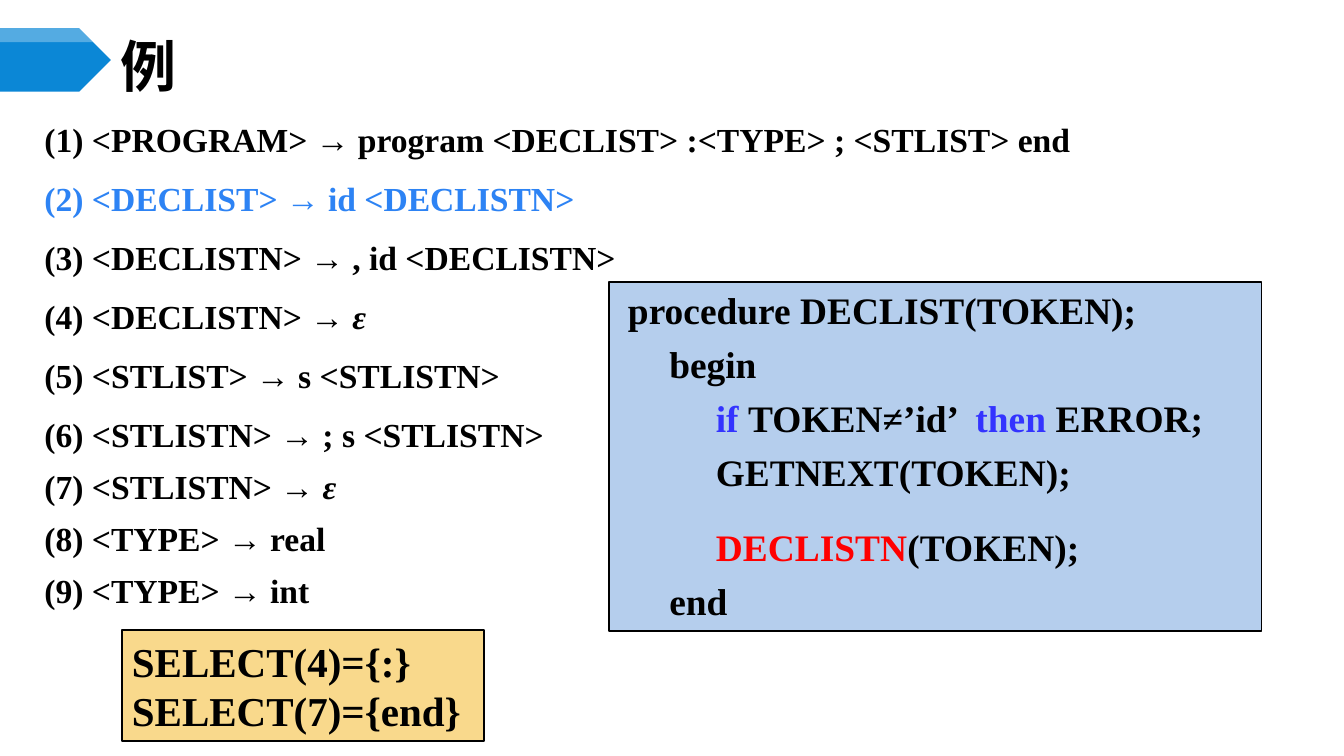
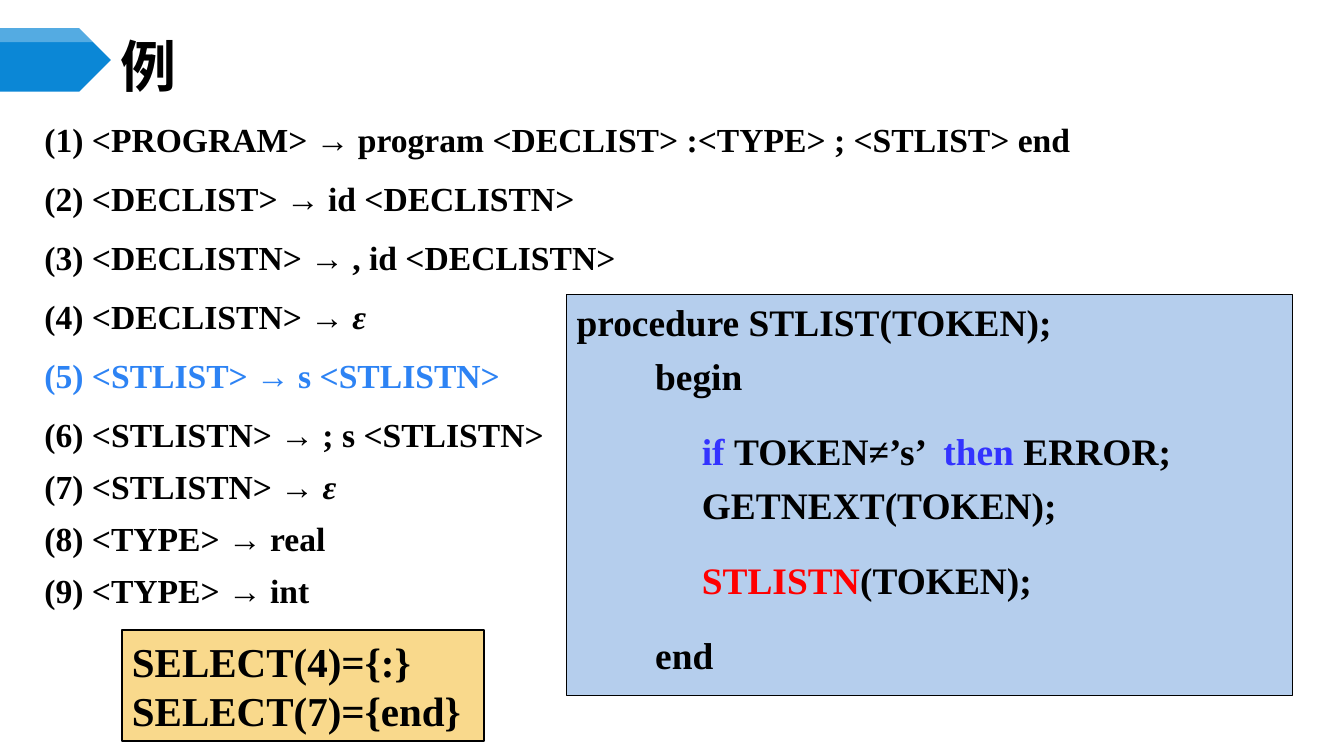
from lxml.etree import SubElement
from pptx import Presentation
from pptx.dml.color import RGBColor
from pptx.enum.shapes import MSO_SHAPE as Preset
from pptx.enum.text import MSO_ANCHOR as Anchor, MSO_AUTO_SIZE as AutoSize, PP_ALIGN as Align
from pptx.oxml.ns import qn
from pptx.util import Inches, Pt

BLACK, WHITE = "000000", "FFFFFF"
BAND_BLUE, HIGHLIGHT = "0B87D6", "2D83F4"
CODE_FILL, SELECT_FILL = "B5CEED", "F9D98C"
KEYWORD, CALL = "3333FF", "FF0000"
SERIF, HAN = "Times New Roman", "Noto Sans CJK SC"

GRAMMAR = [
    ("<PROGRAM>", "program <DECLIST> :<TYPE> ; <STLIST> end"),
    ("<DECLIST>", "id <DECLISTN>"),
    ("<DECLISTN>", ", id <DECLISTN>"),
    ("<DECLISTN>", "ε"),
    ("<STLIST>", "s <STLISTN>"),
    ("<STLISTN>", "; s <STLISTN>"),
    ("<STLISTN>", "ε"),
    ("<TYPE>", "real"),
    ("<TYPE>", "int"),
]
LAST_SPACED_RULE = 6


def rgb(value):
    return RGBColor.from_string(value)


class Deck:
    """Style and current slide; positions are percentages of the slide size."""

    def __init__(self):
        self.prs = Presentation()
        self.prs.slide_width, self.prs.slide_height = Inches(13.333), Inches(7.5)
        self.slide = None

    def across(self, share):
        return round(self.prs.slide_width * share / 100)

    def down(self, share):
        return round(self.prs.slide_height * share / 100)

    def area(self, x, y, w, h):
        return self.across(x), self.down(y), self.across(w), self.down(h)

    def new_slide(self):
        self.slide = self.prs.slides.add_slide(self.prs.slide_layouts[1])
        self.band()

    # Shapes
    def paint(self, shape, fill, line=None):
        shape.shadow.inherit = False
        shape.fill.solid()
        shape.fill.fore_color.rgb = rgb(fill)
        if line:
            shape.line.color.rgb = rgb(line)
            shape.line.width = Pt(1)
        else:
            shape.line.fill.background()

    def band(self):
        x, y, w, h = self.area(0, 3.73, 8.25, 8.4)
        pentagon = self.slide.shapes.add_shape(Preset.PENTAGON, x, y, w, h)
        self.paint(pentagon, BAND_BLUE)
        # Translucent strip that follows the slanted edge
        shoulder, depth = w - h // 2, round(h * 0.22)
        outline = self.slide.shapes.build_freeform(x, y)
        outline.add_line_segments(
            [(shoulder, y), (shoulder + depth, y + depth), (x, y + depth)])
        gloss = outline.convert_to_shape()
        self.paint(gloss, WHITE)
        tint = gloss.fill._xPr.find(qn("a:solidFill"))[0]
        SubElement(tint, qn("a:alpha")).set("val", "30000")

    def box(self, area, fill, anchor=Anchor.TOP, wrap=True):
        panel = self.slide.shapes.add_shape(Preset.RECTANGLE, *self.area(*area))
        self.paint(panel, fill, BLACK)
        return self.frame(panel, anchor, wrap)

    def placeholder(self, index, area, anchor):
        holder = self.slide.placeholders[index]
        holder.left, holder.top, holder.width, holder.height = self.area(*area)
        return self.frame(holder, anchor)

    # Text
    def frame(self, shape, anchor, wrap=True):
        frame = shape.text_frame
        frame.auto_size = AutoSize.NONE
        frame.word_wrap = wrap
        frame.vertical_anchor = anchor
        return frame

    def line(self, frame, runs, size, font=SERIF, indent=0, before=0, pitch=None):
        """Add one paragraph; each run is (text, colour) or (text, colour, italic)."""
        first = frame.paragraphs[0]
        paragraph = frame.add_paragraph() if first.runs else first
        props = paragraph._p.get_or_add_pPr()
        props.set("marL", str(self.across(indent)))
        props.set("indent", "0")
        SubElement(props, qn("a:buNone"))
        paragraph.alignment = Align.LEFT
        paragraph.space_before = Pt(before)
        if pitch:
            paragraph.line_spacing = Pt(pitch)
        for text, colour, *italic in runs:
            run = paragraph.add_run()
            run.text = text
            run.font.size, run.font.bold = Pt(size), True
            run.font.italic = bool(italic and italic[0])
            run.font.color.rgb = rgb(colour)
            run.font.name = font
            SubElement(run._r.get_or_add_rPr(), qn("a:ea")).set("typeface", font)

    # Content elements
    def title(self, text):
        heading = self.placeholder(0, (8.25, 5.2, 86.72, 6.93), Anchor.MIDDLE)
        self.line(heading, [(text, BLACK)], 40, HAN)

    def grammar(self, current):
        rules = self.placeholder(1, (2.33, 13.2, 95.35, 68.8), Anchor.TOP)
        rules.margin_left = rules.margin_right = Inches(0.13)
        rules.margin_top = rules.margin_bottom = Inches(0.07)
        for number, (head, production) in enumerate(GRAMMAR, 1):
            colour = HIGHLIGHT if number == current else BLACK
            runs = [(f"({number}) {head} → ", colour),
                    (production, colour, production == "ε")]
            spaced = 1 < number <= LAST_SPACED_RULE
            self.line(rules, runs, 24, before=4.8 if spaced else 0, pitch=37.3)

    def select_sets(self):
        sets = self.box((9.08, 83.33, 26.93, 14.67), SELECT_FILL, Anchor.MIDDLE, False)
        for text in ("SELECT(4)={:}", "SELECT(7)={end}"):
            self.line(sets, [(text, BLACK)], 29.3)

    def procedure(self, area, name, token, indents, loose):
        """Code panel; loose holds the line numbers with a wide gap above."""
        code = self.box(area, CODE_FILL)
        steps = [
            (0, [(f"procedure {name}(TOKEN);", BLACK)]),
            (1, [("begin", BLACK)]),
            (2, [("if ", KEYWORD), (f"TOKEN≠’{token}’ ", BLACK),
                 (" then ", KEYWORD), ("ERROR;", BLACK)]),
            (2, [("GETNEXT(TOKEN);", BLACK)]),
            (2, [(f"{name}N", CALL), ("(TOKEN);", BLACK)]),
            (1, [("end", BLACK)]),
        ]
        for number, (level, runs) in enumerate(steps, 1):
            gap = 0 if number == 1 else 21.4 if number in loose else 6.6
            self.line(code, runs, 26.7, indent=indents[level], before=gap)


def main():
    deck = Deck()
    examples = [
        (2, (45.31, 37.33, 48.54, 46.13), "DECLIST", "id", (0.68, 3.75, 7.22), {5}),
        (5, (42.16, 38.93, 54.01, 53.07), "STLIST", "s", (0, 5.85, 9.32), {3, 5, 6}),
    ]
    for rule, *procedure in examples:
        deck.new_slide()
        deck.title("例")
        deck.grammar(rule)
        deck.select_sets()
        deck.procedure(*procedure)
    deck.prs.save("out.pptx")


if __name__ == "__main__":
    main()
